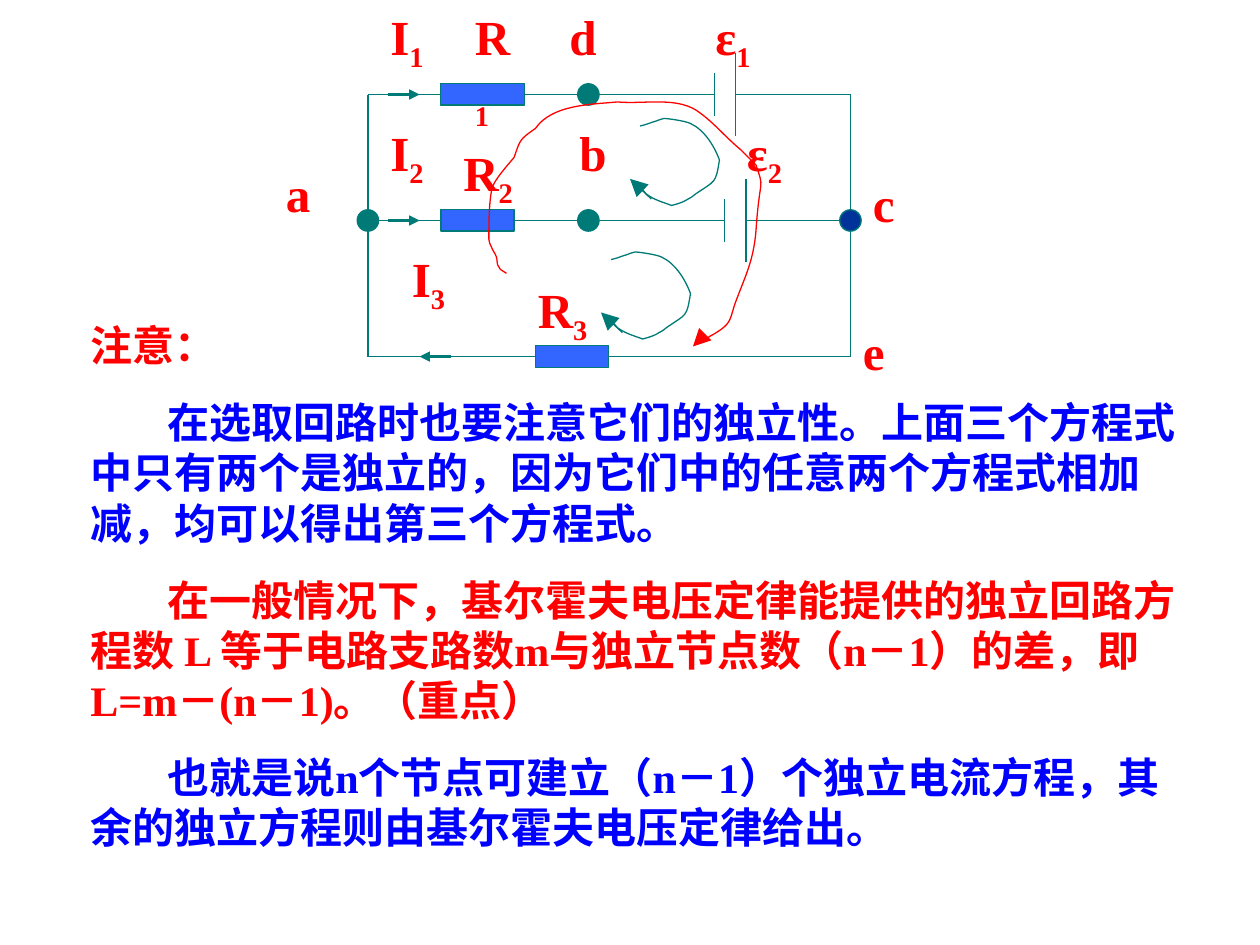
from lxml import etree
from pptx import Presentation
from pptx.dml.color import RGBColor
from pptx.enum.dml import MSO_LINE
from pptx.enum.shapes import MSO_CONNECTOR, MSO_SHAPE
from pptx.enum.text import MSO_AUTO_SIZE
from pptx.oxml.ns import qn
from pptx.util import Inches, Pt

STRAIGHT = MSO_CONNECTOR.STRAIGHT
RECTANGLE = MSO_SHAPE.RECTANGLE
OVAL = MSO_SHAPE.OVAL
DASH = MSO_LINE.DASH
GROW = MSO_AUTO_SIZE.SHAPE_TO_FIT_TEXT

FONT = "Times New Roman"
TEAL, RED, BLUE = "007A77", "FF0000", "0000FF"
RESISTOR_BLUE, NODE_BLUE = "3366FF", "003399"
LEFT, RIGHT = 2.92, 6.75
TOP, MIDDLE, BOTTOM = 0.75, 1.75, 2.83
THICK = 0.17

NOTES = [
    ("注意：", RED),
    ("在选取回路时也要注意它们的独立性。上面三个方程式中只有两个是独立的，"
     "因为它们中的任意两个方程式相加减，均可以得出第三个方程式。", BLUE),
    ("在一般情况下，基尔霍夫电压定律能提供的独立回路方程数 L 等于电路支路数m"
     "与独立节点数（n－1）的差，即 L=m－(n－1)。（重点）", RED),
    ("也就是说n个节点可建立（n－1）个独立电流方程，"
     "其余的独立方程则由基尔霍夫电压定律给出。", BLUE),
]

LABELS = [
    ("I", "1", 3, 0, 1, 0.63),
    ("I", "2", 3, 0.92, 1.92, 0.63),
    ("I", "3", 3.17, 1.92, 1.5, 0.63),
    ("a", "", 2.17, 1.25, 1.08, 0.57),
    ("b", "", 4.5, 0.92, 1.25, 0.57),
    ("c", "", 6.83, 1.33, 0.75, 0.57),
    ("d", "", 4.42, 0, 0.92, 0.57),
    ("e", "", 6.75, 2.5, 0.67, 0.57),
    ("R", "1", 3.67, 0, 0.58, 1.1),
    ("R", "2", 3.58, 1.08, 0.67, 0.63),
    ("R", "3", 4.17, 2.17, 0.67, 0.63),
    ("ε", "1", 5.58, 0, 0.92, 0.63),
    ("ε", "2", 5.83, 0.92, 0.92, 0.63),
]

SMALL_LOOP = [
    (5.08, 1), (5.13, 0.99), (5.17, 0.97), (5.21, 0.96),
    (5.23, 0.95), (5.27, 0.94), (5.27, 0.94),
    (5.3, 0.94), (5.44, 0.96), (5.48, 0.98),
    (5.59, 1.03), (5.67, 1.16), (5.71, 1.27),
    (5.68, 1.46), (5.68, 1.43), (5.52, 1.54),
    (5.5, 1.56), (5.48, 1.57), (5.46, 1.58),
    (5.42, 1.61), (5.33, 1.63), (5.33, 1.63),
    (5.25, 1.6), (5.2, 1.59), (5.13, 1.54),
    (5.07, 1.47), (5.09, 1.5), (5.06, 1.44),
]

LARGE_LOOP = [
    (4.02, 2.17), (4, 2.15), (3.97, 2.15), (3.96, 2.12),
    (3.94, 2.1), (3.95, 2.07), (3.94, 2.04),
    (3.93, 2.01), (3.91, 1.99), (3.9, 1.96),
    (3.89, 1.94), (3.88, 1.92), (3.88, 1.9),
    (3.88, 1.77), (3.88, 1.64), (3.9, 1.52),
    (3.9, 1.45), (4.04, 1.3), (4.08, 1.25),
    (4.13, 1.11), (4.12, 1.11), (4.25, 1.02),
    (4.38, 0.83), (4.69, 0.83), (4.9, 0.81),
    (5.12, 0.83), (5.39, 0.76), (5.56, 0.9),
    (5.67, 0.98), (5.77, 1.1), (5.88, 1.19),
    (5.92, 1.23), (6, 1.31), (6, 1.31),
    (6.07, 1.52), (6.03, 1.38), (6, 1.83),
    (5.98, 2.08), (5.91, 2.2), (5.83, 2.42),
    (5.79, 2.55), (5.8, 2.57), (5.67, 2.65),
    (5.59, 2.69), (5.63, 2.69), (5.58, 2.69),
]


def color(value):
    """Turn a hex string into a colour."""
    return RGBColor.from_string(value)


def style_line(line, value, width=0.75):
    """Give a line its colour and width."""
    line.color.rgb = color(value)
    line.width = Pt(width)


def add_block(page, center_x, center_y, width, kind, fill):
    """Add an outlined shape around a centre point."""
    block = page.shapes.add_shape(
        kind, Inches(center_x - width / 2), Inches(center_y - THICK / 2),
        Inches(width), Inches(THICK))
    block.shadow.inherit = False
    block.fill.solid()
    block.fill.fore_color.rgb = color(fill)
    style_line(block.line, TEAL)
    return block


def add_wire(page, start, end, before=None, after=None):
    """Add a wire, joined to the resistor before or after it."""
    points = [Inches(value) for value in (*start, *end)]
    wire = page.shapes.add_connector(STRAIGHT, *points)
    style_line(wire.line, TEAL)
    etree.SubElement(wire.element.spPr, qn("a:effectLst"))
    if before is not None:
        wire.begin_connect(before, 3)
    if after is not None:
        wire.end_connect(after, 1)
    return wire


def add_arrow(page, start, end, value=TEAL, width=0.75, head="lg"):
    """Add a wire that ends in a triangular head."""
    arrow = add_wire(page, start, end)
    style_line(arrow.line, value, width)
    etree.SubElement(arrow.line._get_or_add_ln(), qn("a:tailEnd"),
                     type="triangle", w=head, len=head)
    return arrow


def add_curve(page, points, value):
    """Add an open curve through a start point and Bezier triples."""
    start, *rest = [(Inches(x), Inches(y)) for x, y in points]
    builder = page.shapes.build_freeform(*start)
    builder.add_line_segments(rest, close=False)
    curve = builder.convert_to_shape()
    curve.shadow.inherit = False
    curve.fill.background()
    style_line(curve.line, value)
    segments = list(curve.element.iter(qn("a:lnTo")))
    for index in range(0, len(segments), 3):
        bezier = etree.Element(qn("a:cubicBezTo"))
        segments[index].addprevious(bezier)
        for segment in segments[index:index + 3]:
            bezier.append(segment[0])
            segment.getparent().remove(segment)


def add_text_box(page, left, top, width, height):
    """Add a wrapping text box and return its frame."""
    box = page.shapes.add_textbox(
        Inches(left), Inches(top), Inches(width), Inches(height))
    box.text_frame.word_wrap = True
    box.text_frame.auto_size = GROW
    return box.text_frame


def style_font(font, size, value):
    """Set the bold face, size and colour."""
    font.name = FONT
    font.size = Pt(size)
    font.bold = True
    font.color.rgb = color(value)


def add_label(page, letter, subscript, *place):
    """Add a circuit label with an optional subscript."""
    para = add_text_box(page, *place).paragraphs[0]
    for text in filter(None, (letter, subscript)):
        span = para.add_run()
        span.text = text
        style_font(span.font, 28, RED)
        if text == subscript:
            span.font._element.set("baseline", "-25000")


def add_notes(page):
    """Add the heading and the indented paragraphs under the circuit."""
    frame = add_text_box(page, 0.62, 2.49, 9, 4.33)
    frame.text = "\n".join(text for text, _ in NOTES)
    for index, (para, (_, value)) in enumerate(zip(frame.paragraphs, NOTES)):
        if index:
            para.space_before = Pt(15)
            properties = para._p.get_or_add_pPr()
            properties.set("indent", str(Inches(0.61)))
            properties.set("hangingPunct", "0")
        style_font(para.runs[0].font, 24, value)


def add_branch(page, y, resistor_x, width, cell_x=None):
    """Add one branch: a resistor and, if given, a cell."""
    resistor = add_block(page, resistor_x, y, width, RECTANGLE, RESISTOR_BLUE)
    add_wire(page, (LEFT, y), (resistor_x, y), after=resistor)
    if cell_x is None:
        add_wire(page, (resistor_x, y), (RIGHT, y), before=resistor)
        return
    short_x, long_x = cell_x, cell_x + THICK
    add_wire(page, (resistor_x, y), (short_x, y), before=resistor)
    add_wire(page, (long_x, y), (RIGHT, y))
    for x, half in ((short_x, 0.17), (long_x, 0.33)):
        add_wire(page, (x, y - half), (x, y + half))
    add_arrow(page, (3.08, y), (3.33, y), width=1.5, head="med")


def main():
    """Build the slide and save it."""
    deck = Presentation()
    deck.slide_width, deck.slide_height = Inches(10), Inches(7.5)
    page = deck.slides.add_slide(deck.slide_layouts[6])
    add_notes(page)
    add_branch(page, TOP, 3.83, 0.67, 5.67)
    add_branch(page, MIDDLE, 3.79, 0.58, 5.75)
    add_branch(page, BOTTOM, 4.54, 0.58)
    add_arrow(page, (3.58, BOTTOM), (3.33, BOTTOM), width=1.5, head="med")
    for x in (LEFT, RIGHT):
        add_wire(page, (x, TOP), (x, BOTTOM))
    for x, y, fill in ((RIGHT, MIDDLE, NODE_BLUE), (LEFT, MIDDLE, TEAL),
                       (4.67, TOP, TEAL), (4.67, MIDDLE, TEAL)):
        add_block(page, x, y, THICK, OVAL, fill)
    for shift_x, shift_y in ((0, 0), (-0.23, 1.06)):
        add_curve(page, [(x + shift_x, y + shift_y) for x, y in SMALL_LOOP], TEAL)
        add_arrow(page, (5.17 + shift_x, 1.58 + shift_y), (5 + shift_x, 1.42 + shift_y))
    add_curve(page, LARGE_LOOP, RED)
    add_arrow(page, (5.58, 2.67), (5.5, 2.75), RED).line.dash_style = DASH
    for label in LABELS:
        add_label(page, *label)
    deck.save("out.pptx")


if __name__ == "__main__":
    main()
